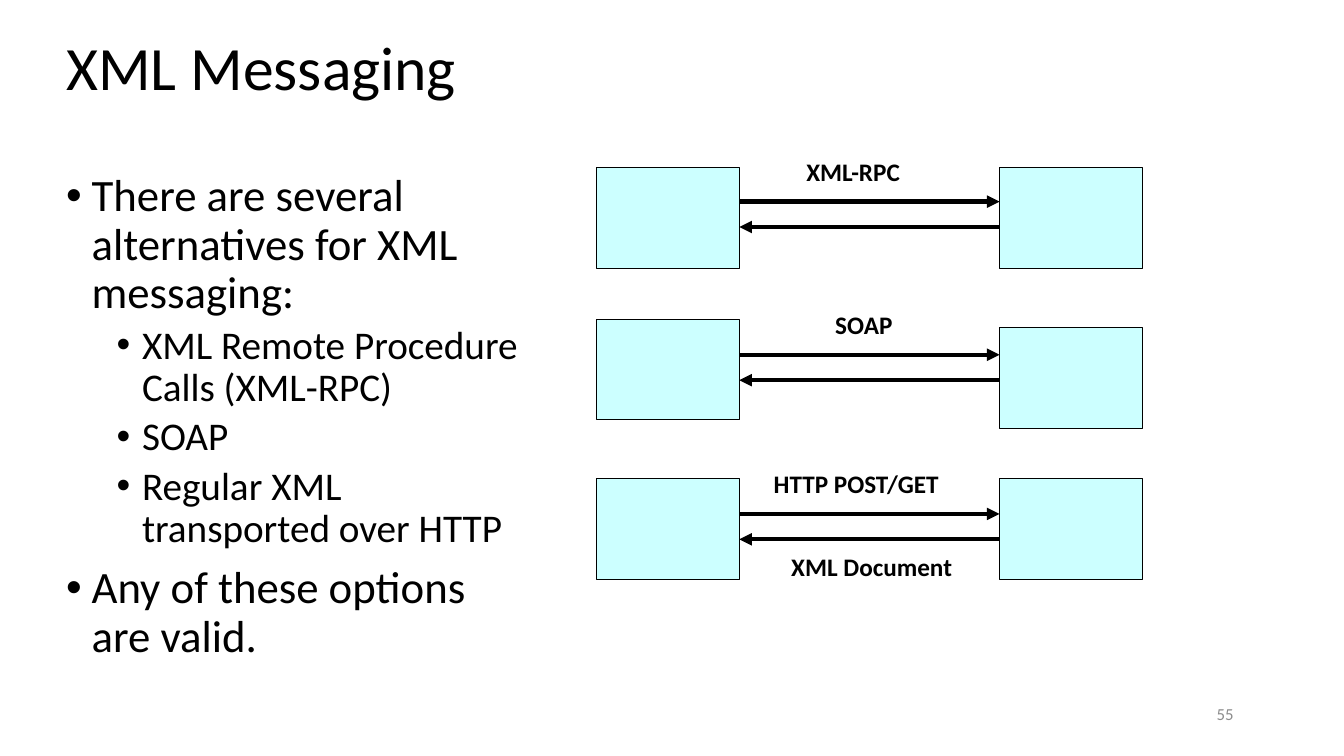
"""Build the XML Messaging slide: bullets on the left, three message exchanges on the right."""
from lxml import etree
from pptx import Presentation
from pptx.dml.color import RGBColor
from pptx.enum.shapes import MSO_CONNECTOR, MSO_SHAPE
from pptx.enum.text import MSO_ANCHOR, MSO_AUTO_SIZE, PP_ALIGN
from pptx.oxml.ns import qn
from pptx.util import Cm, Pt

RECT = MSO_SHAPE.RECTANGLE
STRAIGHT = MSO_CONNECTOR.STRAIGHT
MIDDLE = MSO_ANCHOR.MIDDLE
RIGHT = PP_ALIGN.RIGHT
GROW = MSO_AUTO_SIZE.SHAPE_TO_FIT_TEXT


def rgb(color):
    return RGBColor.from_string(color)


def add_text(left, top, width, height, text, size, color="000000"):
    tf = s.shapes.add_textbox(Cm(left), Cm(top), Cm(width), Cm(height)).text_frame
    tf.word_wrap = True
    tf.text = text
    for p in tf.paragraphs:
        for r in p.runs:
            r.font.name = "Calibri"
            r.font.size = Pt(size)
            r.font.color.rgb = rgb(color)
    return tf


prs = Presentation()
prs.slide_width, prs.slide_height = Cm(33.87), Cm(19.05)
s = prs.slides.add_slide(prs.slide_layouts[6])

tf = add_text(24.28, 17.35, 7.06, 1.27, "55", 12, "8C8C8C")
tf.vertical_anchor = MIDDLE
tf.paragraphs[0].alignment = RIGHT

tf = add_text(1.42, 0.2, 31.04, 3.18, "XML Messaging", 44)
tf.vertical_anchor = MIDDLE
tf.paragraphs[0].line_spacing = 0.9

bullets = [
    (0, "There are several alternatives for XML messaging:"),
    (1, "XML Remote Procedure Calls (XML-RPC)"),
    (1, "SOAP"),
    (1, "Regular XML transported over HTTP"),
    (0, "Any of these options are valid."),
]
tf = add_text(1.42, 4.24, 12.27, 13.59, "\n".join(text for _, text in bullets), 32)
for i, (p, (level, _)) in enumerate(zip(tf.paragraphs, bullets)):
    p.level = level
    p.line_spacing = 0.9
    if i:
        p.space_before = Pt(5 if level else 10)
    if level:
        p.runs[0].font.size = Pt(28)
    pPr = p._p.get_or_add_pPr()
    pPr.set("marL", str(Cm(0.64 + 1.27 * level)))
    pPr.set("indent", str(-Cm(0.64)))
    etree.SubElement(pPr, qn("a:buFont")).set("typeface", "Arial")
    etree.SubElement(pPr, qn("a:buChar")).set("char", "•")

box_w, box_h = 3.6, 2.54
client_x, server_x = 15.03, 25.19
client_edge = client_x + box_w

for y in (5.08, 8.94, 12.95):
    for start, end, arrow_y in ((client_edge, server_x, y), (server_x, client_edge, y + 0.64)):
        arrow = s.shapes.add_connector(STRAIGHT, Cm(start), Cm(arrow_y), Cm(end), Cm(arrow_y))
        arrow.line.color.rgb = rgb("000000")
        arrow.line.width = Pt(3)
        ln = arrow.line._get_or_add_ln()
        etree.SubElement(ln, qn("a:tailEnd")).set("type", "triangle")
        etree.SubElement(arrow._element.spPr, qn("a:effectLst"))

labels = [
    ("XML-RPC", 20.07, 3.81, 2.95),
    ("SOAP", 20.8, 7.67, 1.98),
    ("HTTP POST/GET", 19.25, 11.68, 4.7),
    ("XML Document", 19.69, 13.77, 4.6),
]
for text, left, top, width in labels:
    tf = add_text(left, top, width, 1.02, text, 18)
    tf.word_wrap = False
    tf.auto_size = GROW
    tf.paragraphs[0].runs[0].font.bold = True

for left, tops in ((client_x, (4.23, 8.04, 12.07)), (server_x, (4.23, 8.26, 12.07))):
    for top in tops:
        box = s.shapes.add_shape(RECT, Cm(left), Cm(top), Cm(box_w), Cm(box_h))
        box.shadow.inherit = False
        box.fill.solid()
        box.fill.fore_color.rgb = rgb("CCFFFF")
        box.line.color.rgb = rgb("000000")
        box.line.width = Pt(0.75)

prs.save("out.pptx")
